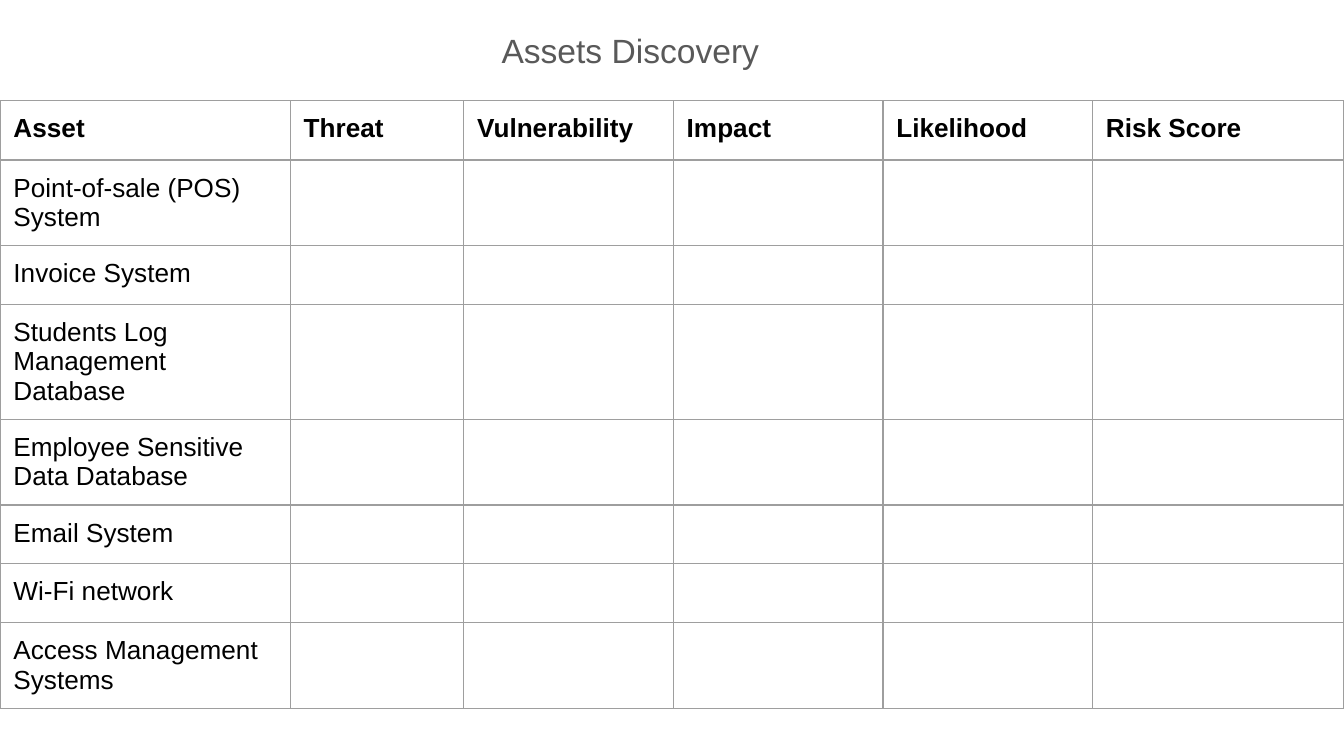
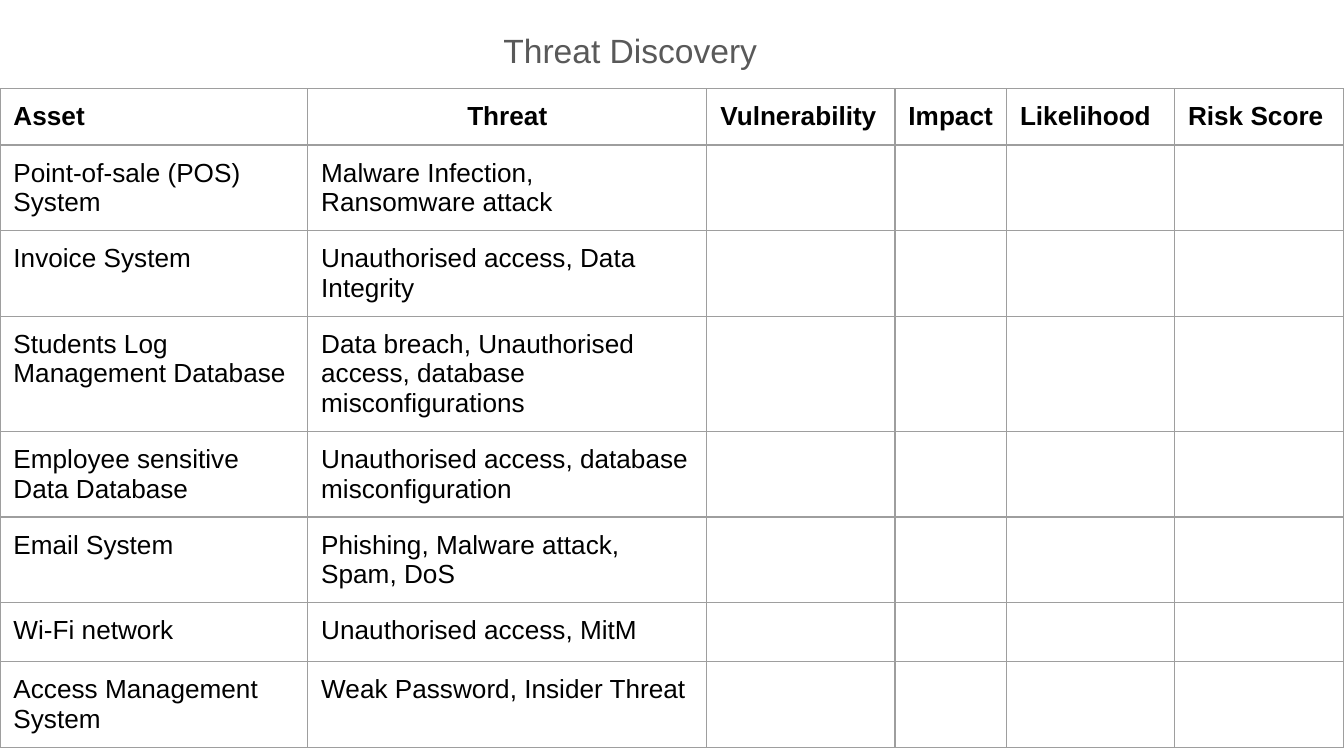
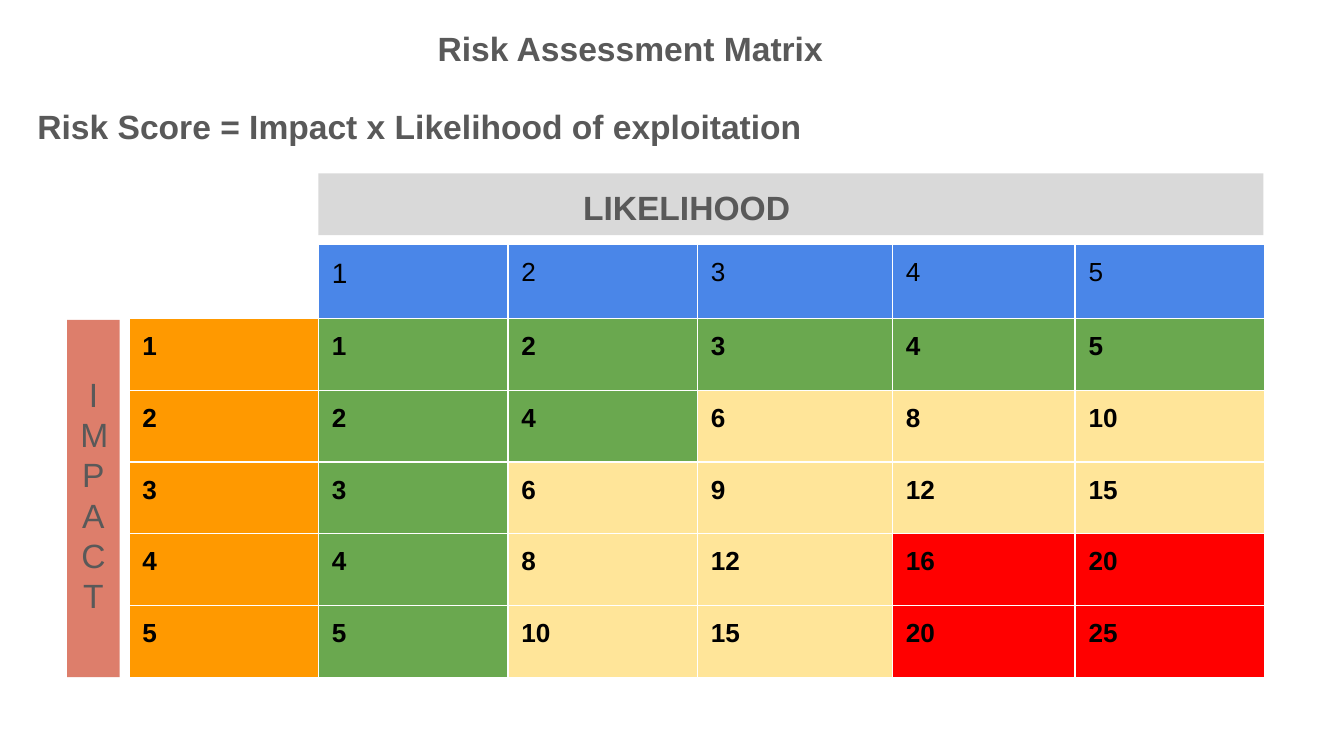
from dataclasses import dataclass

from lxml import etree
from pptx import Presentation
from pptx import util as u
from pptx.dml.color import RGBColor
from pptx.enum import shapes, text
from pptx.oxml.ns import qn


@dataclass(frozen=True)
class Theme:
    font: str = "Arial"
    ink: str = "000000"
    grey: str = "595959"
    rule: str = "9E9E9E"
    white: str = "FFFFFF"
    blue: str = "4A86E8"
    orange: str = "FF9900"
    low: str = "6AA84F"
    medium: str = "FFE599"
    high: str = "FF0000"
    impact: str = "DD7E6B"
    likelihood: str = "D9D9D9"
    heading: float = 18
    body: float = 14
    first_score: float = 15
    rule_width: float = 0.75
    letter_pitch: float = 21.6


class Deck:
    COLS, ROWS, INSET = 100, 56.25, 1

    def __init__(self, theme):
        self.theme = theme
        self.prs = Presentation()
        self.prs.slide_width, self.prs.slide_height = u.Inches(10), u.Inches(5.625)
        self.s = None

    def x(self, cols):
        return u.Emu(round(self.prs.slide_width * cols / self.COLS))

    def y(self, rows):
        return u.Emu(round(self.prs.slide_height * rows / self.ROWS))

    def box(self, left, top, width, height):
        return self.x(left), self.y(top), self.x(width), self.y(height)

    def new_slide(self):
        self.s = self.prs.slides.add_slide(self.prs.slide_layouts[5])

    def lines(self, tf, lines, size, color, bold=False, align=text.PP_ALIGN.LEFT,
              pitch=None, right=INSET, top=INSET):
        frame = {"word_wrap": True, "auto_size": text.MSO_AUTO_SIZE.NONE,
                 "vertical_anchor": text.MSO_ANCHOR.TOP,
                 "margin_left": self.x(self.INSET), "margin_right": self.x(right),
                 "margin_top": self.y(top), "margin_bottom": self.y(self.INSET)}
        for name, value in frame.items():
            setattr(tf, name, value)
        for i, line in enumerate(lines):
            p = tf.paragraphs[0] if i == 0 else tf.add_paragraph()
            p.alignment = align
            if pitch:
                p.line_spacing = u.Pt(pitch)
            self.run(p, line, size, color, bold)

    def run(self, p, words, size, color, bold):
        r = p.add_run()
        r.text = words
        for name, value in {"name": self.theme.font, "size": u.Pt(size), "bold": bold}.items():
            setattr(r.font, name, value)
        r.font.color.rgb = RGBColor.from_string(color)

    def centred(self, tf, words, area, centre, bold):
        left, _, width, _ = area
        shift = 2 * (left + width / 2 - centre)
        self.lines(tf, [words], self.theme.heading, self.theme.grey, bold,
                   text.PP_ALIGN.CENTER, right=self.INSET + shift)

    def title(self, words, area, bold=False):
        sp = self.s.shapes.title
        sp.left, sp.top, sp.width, sp.height = self.box(*area)
        self.centred(sp.text_frame, words, area, 46.9, bold)

    def label(self, words, area):
        sp = self.s.shapes.add_textbox(*self.box(*area))
        self.lines(sp.text_frame, [words], self.theme.heading, self.theme.grey, True)

    def band(self, area, fill):
        sp = self.s.shapes.add_shape(shapes.MSO_SHAPE.RECTANGLE, *self.box(*area))
        sp.shadow.inherit = False
        sp.fill.solid()
        sp.fill.fore_color.rgb = RGBColor.from_string(fill)
        sp.line.fill.background()
        return sp.text_frame

    def borders(self, cell, color):
        tcPr = cell._tc.get_or_add_tcPr()
        for side in ("a:lnL", "a:lnR", "a:lnT", "a:lnB"):
            ln = etree.SubElement(tcPr, qn(side), w=str(u.Pt(self.theme.rule_width)))
            solid = etree.SubElement(ln, qn("a:solidFill"))
            etree.SubElement(solid, qn("a:srgbClr"), val=color)

    def cell(self, cell, words, rule, fill=None, size=None, bold=False,
             align=text.PP_ALIGN.LEFT):
        size = size or self.theme.body
        self.borders(cell, rule)
        if fill:
            cell.fill.solid()
            cell.fill.fore_color.rgb = RGBColor.from_string(fill)
        else:
            cell.fill.background()
        for side in ("left", "right", "top", "bottom"):
            setattr(cell, f"margin_{side}", self.x(self.INSET))
        p = cell.text_frame.paragraphs[0]
        p.alignment = align
        if words:
            self.run(p, words, size, self.theme.ink, bold)
        else:
            etree.SubElement(p._p, qn("a:endParaRPr"), sz=str(round(size * 100)))

    def table(self, left, top, cols, rows):
        area = self.box(left, top, sum(cols), sum(rows))
        tbl = self.s.shapes.add_table(len(rows), len(cols), *area).table
        tbl.first_row = tbl.horz_banding = False
        for col, width in zip(tbl.columns, cols):
            col.width = self.x(width)
        for row, height in zip(tbl.rows, rows):
            row.height = self.y(height)
        return tbl

    def register(self, top, cols, rows, records, centred_heads=()):
        tbl = self.table(0, top, cols, rows)
        for i, record in enumerate([HEADS] + records):
            for j in range(len(cols)):
                words = record[j] if j < len(record) else ""
                centre = i == 0 and HEADS[j] in centred_heads
                self.cell(tbl.cell(i, j), words, self.theme.rule, bold=i == 0,
                          align=text.PP_ALIGN.CENTER if centre else text.PP_ALIGN.LEFT)

    def score_fill(self, score):
        t = self.theme
        return t.low if score <= 5 else t.medium if score <= 15 else t.high

    def matrix(self, left, top, cols, rows):
        t = self.theme
        tbl = self.table(left, top, cols, rows)
        for impact in range(len(rows)):
            for likelihood in range(len(cols)):
                score = impact * likelihood
                if score:
                    fill = self.score_fill(score)
                elif impact:
                    fill = t.orange
                else:
                    fill = t.blue if likelihood else None
                value = score or impact or likelihood
                first = (impact, likelihood) == (0, 1)
                self.cell(tbl.cell(impact, likelihood), str(value) if value else "",
                          t.white, fill, t.first_score if first else t.body, impact > 0)


HEADS = ["Asset", "Threat", "Vulnerability", "Impact", "Likelihood", "Risk Score"]
ASSETS = ["Point-of-sale (POS) System", "Invoice System", "Students Log Management Database",
          "Employee Sensitive Data Database", "Email System", "Wi-Fi network",
          "Access Management Systems"]
THREATS = [
    ["Point-of-sale (POS) System", "Malware Infection, Ransomware attack"],
    ["Invoice System", "Unauthorised access, Data Integrity"],
    ["Students Log Management Database",
     "Data breach, Unauthorised access, database misconfigurations"],
    ["Employee sensitive Data Database", "Unauthorised access, database misconfiguration"],
    ["Email System", "Phishing, Malware attack, Spam, DoS"],
    ["Wi-Fi network", "Unauthorised access, MitM"],
    ["Access Management System", "Weak Password, Insider Threat"],
]
TITLE_AREA = (3.2, 1.2, 93.8, 5.4)


def main():
    theme = Theme()
    deck = Deck(theme)

    deck.new_slide()
    deck.title("Assets Discovery", TITLE_AREA)
    deck.register(7.5, [21.6, 12.9] + [15.6] * 3 + [18.7], [4.4] * 2 + [4.2] * 6,
                  [[asset] for asset in ASSETS])

    deck.new_slide()
    deck.title("Threat Discovery", TITLE_AREA)
    deck.register(6.6, [22.9, 29.7, 14, 8.3, 12.5, 12.6], [4.2, 4.4] + [4.2] * 6,
                  THREATS, centred_heads=("Threat",))

    deck.new_slide()
    deck.title("Risk Assessment Matrix", (1.8, 1.1, 94.9, 5.3), bold=True)
    deck.label("Risk Score = Impact x Likelihood of exploitation", (1.8, 6.9, 90.4, 5.3))
    deck.matrix(9.6, 18.2, [14.1] * 3 + [14.5, 13.6, 14.1], [5.5] + [5.34] * 5)
    deck.lines(deck.band((5, 23.8, 3.9, 26.6), theme.impact), "IMPACT", theme.heading,
               theme.grey, align=text.PP_ALIGN.CENTER, pitch=theme.letter_pitch, top=4)
    likelihood_area = (23.7, 12.9, 70.3, 4.6)
    deck.centred(deck.band(likelihood_area, theme.likelihood), "LIKELIHOOD",
                 likelihood_area, 51.1, True)

    deck.prs.save("out.pptx")


if __name__ == "__main__":
    main()
